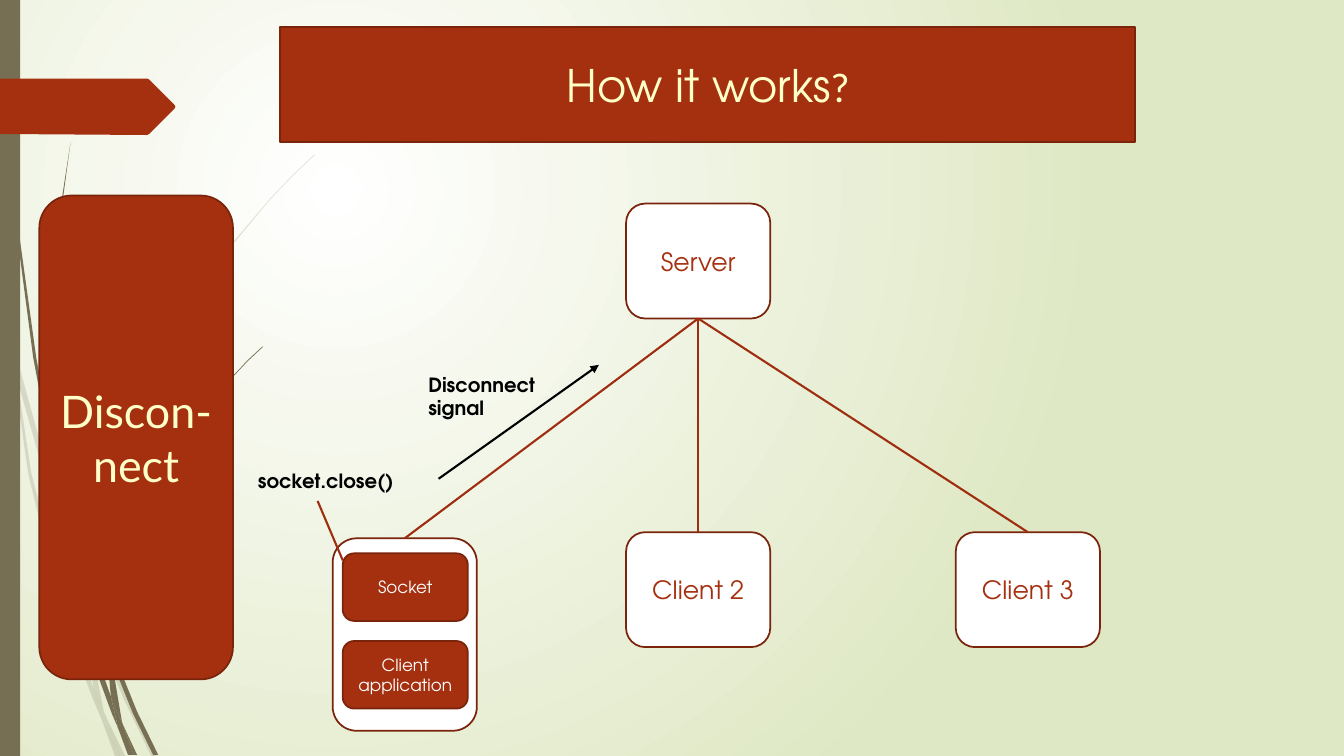
import pptx
import pptx.dml.color
import pptx.enum.shapes
import pptx.enum.text
import pptx.oxml
import pptx.oxml.ns
import pptx.util
from dataclasses import dataclass
from pptx.util import Inches

SHAPE = pptx.enum.shapes.MSO_SHAPE
CENTER = pptx.enum.text.PP_ALIGN.CENTER
MIDDLE = pptx.enum.text.MSO_ANCHOR.MIDDLE
NS = pptx.oxml.ns.nsdecls("a")
qn = pptx.oxml.ns.qn


@dataclass(frozen=True)
class Theme:
    brick: str = "A53010"
    brick_edge: str = "7A240C"
    link: str = "9E2E0F"
    olive: str = "766F54"
    cream: str = "FFFFC7"
    white: str = "FFFFFF"
    black: str = "000000"
    bg_edge: str = "DFE8C4"
    font: str = "TeX Gyre Adventor"
    alt_font: str = "Lato"
    heading: int = 32
    heading_mark: int = 28
    node: int = 18
    label: int = 14
    small: int = 12
    edge_width: float = 1.25
    link_width: float = 1.5


T = Theme()

# Outlines of the grass blades, in inches
PALE_BLADES = [
    [(0.11, 3.5), (0.09, 3.22), (0, 2.82), (0, 2.99), (0.1, 3.44)],
    [(0.58, 5.22), (0.84, 5.99), (0.85, 5.86), (0.62, 5.2), (0.14, 3.45), (0.17, 3.76)],
    [(0.92, 6.07), (0.88, 5.96), (0.88, 6.1), (1.23, 6.94), (1.5, 7.5), (1.55, 7.5),
     (1.27, 6.92)],
    [(1.19, 7.5), (1.24, 7.5), (1.05, 7.11)],
    [(0.93, 6.83), (0.7, 6.19), (0.31, 4.69), (0.17, 3.76), (0.11, 3.5), (0.28, 4.7),
     (0.65, 6.21), (0.92, 6.93), (1.01, 7.14), (0.99, 7.07)],
    [(0.84, 5.99), (0.87, 6.46), (0.93, 6.83), (0.96, 6.92), (1.05, 7.11), (1.03, 7.06),
     (0.91, 6.46), (0.88, 6.1), (0.88, 6.08)],
    [(0.88, 5.84), (0.94, 5.2), (1.1, 4.62), (1.32, 4.04), (1.6, 3.49), (1.93, 2.95),
     (2.29, 2.45), (2.68, 1.98), (2.9, 1.75), (3.12, 1.54), (3.12, 1.53), (2.89, 1.75),
     (2.68, 1.97), (2.28, 2.44), (1.91, 2.94), (1.58, 3.48), (1.29, 4.03), (1.07, 4.61),
     (0.91, 5.2), (0.85, 5.84), (0.85, 5.86), (0.88, 5.96)],
    [(1.01, 7.14), (1.14, 7.5), (1.19, 7.5)],
    [(0.96, 6.92), (0.93, 6.83), (0.99, 7.07), (1.01, 7.14), (1.19, 7.5), (1.05, 7.11)],
]
DARK_BLADES = [
    [(0.07, 1.1), (0.17, 2.33), (0.33, 3.55), (0.56, 4.77), (0.57, 4.81), (0.55, 4.57),
     (0.55, 4.53), (0.36, 3.55), (0.19, 2.32), (0.08, 1.09), (0.05, 0.48), (0.04, 0),
     (0.03, 0), (0.04, 0.48)],
    [(1.13, 6.49), (1.1, 6.41), (1.11, 6.56), (1.32, 7.08), (1.52, 7.49), (1.57, 7.49),
     (1.36, 7.06)],
    [(1.1, 6.91), (0.98, 6.57), (0.72, 5.56), (0.64, 5.05), (0.57, 4.77), (0.68, 5.57),
     (0.93, 6.59), (1.11, 7.08), (1.17, 7.22), (1.16, 7.17)],
    [(0.6, 4.72), (0.58, 4.53), (0.54, 3.49), (0.58, 2.45), (0.63, 1.93), (0.7, 1.41),
     (0.62, 1.93), (0.56, 2.45), (0.52, 3.49), (0.55, 4.49)],
    [(1.33, 7.49), (1.36, 7.49), (1.22, 7.19)],
    [(1.11, 6.33), (1.15, 5.92), (1.25, 5.52), (1.4, 5.13), (1.58, 4.76), (1.8, 4.4),
     (2.05, 4.06), (2.31, 3.74), (2.45, 3.59), (2.61, 3.44), (2.6, 3.44), (2.45, 3.58),
     (2.31, 3.73), (2.04, 4.05), (1.78, 4.39), (1.56, 4.74), (1.37, 5.12), (1.22, 5.51),
     (1.11, 5.91), (1.06, 6.31), (1.1, 6.41)],
    [(1.17, 7.22), (1.27, 7.49), (1.31, 7.49)],
    [(1.06, 6.45), (1.1, 6.91), (1.16, 7.06), (1.22, 7.19), (1.21, 7.16), (1.11, 6.56),
     (1.09, 6.51)],
    [(1.16, 7.06), (1.1, 6.91), (1.16, 7.17), (1.17, 7.22), (1.3, 7.49), (1.33, 7.49),
     (1.22, 7.19)],
]
PAGE_TAG = [(0, 0.78), (1.46, 0.78), (1.48, 0.79), (1.73, 1.04), (1.74, 1.06),
            (1.73, 1.08), (1.48, 1.33), (1.46, 1.34), (0, 1.33)]


def rgb(value):
    return pptx.dml.color.RGBColor.from_string(value)


def write(p, text, size=T.node, color=T.brick, font=T.font, bold=False, align=None):
    r = p.add_run()
    r.text = text
    r.font.size = pptx.util.Pt(size)
    r.font.name = font
    r.font.bold = bold
    r.font.color.rgb = rgb(color)
    if align is not None:
        p.alignment = align


def paint(sp, fill, edge=None, alpha=None):
    """Set fill and edge; alpha is the opacity in percent."""
    sp.fill.solid()
    sp.fill.fore_color.rgb = rgb(fill)
    if alpha is not None:
        clr = sp.element.spPr.find(qn("a:solidFill")).find(qn("a:srgbClr"))
        clr.append(pptx.oxml.parse_xml(f'<a:alpha {NS} val="{alpha * 1000}"/>'))
    if edge:
        sp.line.color.rgb = rgb(edge)
        sp.line.width = pptx.util.Pt(T.edge_width)
    else:
        sp.line.fill.background()


def set_background(slide):
    """Radial gradient centred on the upper left quarter."""
    fill = slide.background.fill
    fill.gradient()
    for stop, color in zip(fill.gradient_stops, (T.white, T.bg_edge)):
        stop.color.rgb = rgb(color)
    lin = slide.element.find(".//" + qn("a:lin"))
    lin.getparent().replace(lin, pptx.oxml.parse_xml(
        f'<a:path {NS} path="circle">'
        '<a:fillToRect l="50000" t="50000" r="100000" b="100000"/></a:path>'))


def add_outline(shapes, points, color, alpha=None):
    pts = [(Inches(x), Inches(y)) for x, y in points]
    builder = shapes.build_freeform(*pts[0])
    builder.add_line_segments(pts[1:], close=True)
    sp = builder.convert_to_shape()
    sp.shadow.inherit = False
    paint(sp, color, alpha=alpha)


def add_box(shapes, box, fill, edge=T.brick_edge, kind=SHAPE.ROUNDED_RECTANGLE,
            text="", **fmt):
    sp = shapes.add_shape(kind, *map(Inches, box))
    sp.shadow.inherit = False
    paint(sp, fill, edge)
    if text:
        sp.text_frame.word_wrap = True
        sp.text_frame.vertical_anchor = MIDDLE
        write(sp.text_frame.paragraphs[0], text, align=CENTER, **fmt)
    return sp


def add_label(shapes, box, text):
    tf = shapes.add_textbox(*map(Inches, box)).text_frame
    tf.word_wrap = True
    write(tf.paragraphs[0], text, size=T.label, color=T.black, bold=True)


def add_line(shapes, start=(0, 0), end=(0, 0), color=T.link, arrow=False):
    line = shapes.add_connector(pptx.enum.shapes.MSO_CONNECTOR.STRAIGHT,
                                *map(Inches, (*start, *end)))
    line.line.color.rgb = rgb(color)
    line.line.width = pptx.util.Pt(T.link_width)
    sp_pr = line.element.spPr
    if arrow:
        sp_pr.find(qn("a:ln")).append(
            pptx.oxml.parse_xml(f'<a:tailEnd {NS} type="triangle"/>'))
    sp_pr.append(pptx.oxml.parse_xml(f'<a:effectLst {NS}/>'))
    return line


def add_title(slide):
    title = slide.shapes.title
    title.left, title.top, title.width, title.height = map(Inches, (2.78, 0.27, 8.48, 1.14))
    paint(title, T.brick, T.brick_edge)
    title.text_frame.vertical_anchor = MIDDLE
    p = title.text_frame.paragraphs[0]
    write(p, "How it works", size=T.heading, color=T.cream, align=CENTER)
    write(p, "?", size=T.heading_mark, color=T.cream, font=T.alt_font)


def main():
    prs = pptx.Presentation()
    prs.slide_width, prs.slide_height = Inches(13.33), Inches(7.5)
    slide = prs.slides.add_slide(prs.slide_layouts[5])
    shapes = slide.shapes
    set_background(slide)

    for blades, alpha in ((PALE_BLADES, 20), (DARK_BLADES, None)):
        group = shapes.add_group_shape()
        for blade in blades:
            add_outline(group.shapes, blade, T.olive, alpha)
    add_box(shapes, (0, 0, 0.2, 7.5), T.olive, edge=None, kind=SHAPE.RECTANGLE)
    add_outline(shapes, PAGE_TAG, T.brick)
    add_title(slide)

    client = add_box(shapes, (3.3, 5.34, 1.43, 1.91), T.white)
    add_box(shapes, (0.39, 1.94, 1.92, 4.8), T.brick, text="Discon-nect",
            size=T.heading, color=T.cream, font=T.alt_font)
    server, client_2, client_3 = [
        add_box(shapes, (x, y, 1.43, 1.14), T.white, text=name)
        for name, x, y in (("Server", 6.21, 2.02), ("Client 2", 6.21, 5.28),
                           ("Client 3", 9.48, 5.28))]
    for node in (client, client_2, client_3):
        link = add_line(shapes)
        link.begin_connect(server, 2)
        link.end_connect(node, 0)

    add_line(shapes, (4.35, 4.75), (5.94, 3.62), T.black, arrow=True)
    add_label(shapes, (4.15, 3.65, 1.43, 0.57), "Disconnect signal")
    for name, y in (("Socket", 5.49), ("Client application", 6.36)):
        add_box(shapes, (3.4, y, 1.24, 0.67), T.brick, text=name,
                size=T.small, color=T.white)
    add_line(shapes, (3.4, 5.56), (3.15, 4.97))
    add_label(shapes, (2.46, 4.6, 1.56, 0.34), "socket.close()")
    prs.save("out.pptx")


if __name__ == "__main__":
    main()
